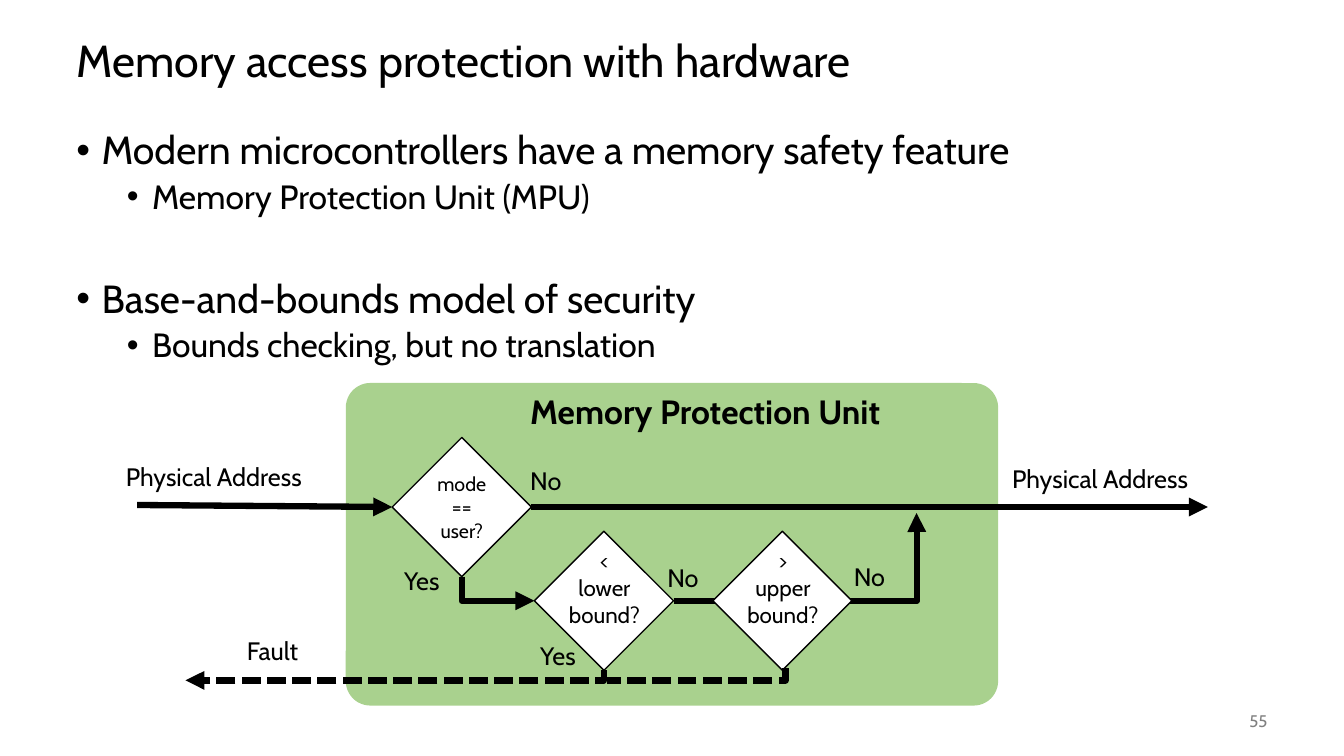
from copy import deepcopy
from dataclasses import dataclass

from lxml import etree
from pptx import Presentation
from pptx import util as u
from pptx.dml.color import RGBColor
from pptx.enum import dml, shapes, text
from pptx.oxml.ns import qn

PX = u.Inches(1) // 100


@dataclass(frozen=True)
class Theme:
    font: str = "Cabin"
    ink: str = "000000"
    muted: str = "808080"
    paper: str = "FFFFFF"
    unit: str = "A9D18E"
    title: int = 32
    point: int = 28
    heading: int = 24
    label: int = 18
    bound: int = 16
    mode: int = 14
    number: int = 12
    outline: int = 1
    flow: float = 4.5


THEME = Theme()


def px(*lengths):
    return [n * PX for n in lengths]


def set_all(target, values):
    for name, value in values.items():
        setattr(target, name, value)


def write(paragraph, words, size, color=THEME.ink, bold=False, **layout):
    """Fill a paragraph; line breaks take the format of its runs."""
    paragraph.text = words
    set_all(paragraph, layout)
    for run in paragraph.runs:
        set_all(run.font, {"name": THEME.font, "size": u.Pt(size), "bold": bold})
        run.font.color.rgb = RGBColor.from_string(color)
    for line_break in paragraph._p.findall(qn("a:br")):
        line_break.append(deepcopy(paragraph.runs[0]._r.rPr))


def text_box(slide, box, anchor=text.MSO_ANCHOR.TOP, grow=False):
    frame = slide.shapes.add_textbox(*px(*box)).text_frame
    fit = text.MSO_AUTO_SIZE.SHAPE_TO_FIT_TEXT if grow else text.MSO_AUTO_SIZE.NONE
    set_all(frame, {"word_wrap": True, "vertical_anchor": anchor, "auto_size": fit})
    return frame


def label(slide, words, box, size=THEME.label, **format_values):
    write(text_box(slide, box, grow=True).paragraphs[0], words, size, **format_values)


def filled_shape(slide, kind, box, fill):
    shape = slide.shapes.add_shape(kind, *px(*box))
    shape.shadow.inherit = False
    shape.fill.solid()
    shape.fill.fore_color.rgb = RGBColor.from_string(fill)
    shape.line.fill.background()
    return shape


def decision(slide, x, y, side=138):
    diamond = filled_shape(slide, shapes.MSO_SHAPE.DIAMOND, (x, y, side, side), THEME.paper)
    diamond.line.color.rgb = RGBColor.from_string(THEME.ink)
    diamond.line.width = u.Pt(THEME.outline)
    return diamond


def flow(slide, start, end, bend=None, dashed=False, arrow=True):
    """Draw a flow line; bend is where an elbow turns, in 1/100000 of its width."""
    kind = shapes.MSO_CONNECTOR.STRAIGHT if bend is None else shapes.MSO_CONNECTOR.ELBOW
    line = slide.shapes.add_connector(kind, *px(*start, *end))
    line.line.color.rgb = RGBColor.from_string(THEME.ink)
    line.line.width = u.Pt(THEME.flow)
    if dashed:
        line.line.dash_style = dml.MSO_LINE.SQUARE_DOT
    properties = line._element.spPr
    if arrow:
        etree.SubElement(properties.find(qn("a:ln")), qn("a:tailEnd"), type="triangle")
    if bend is not None:
        adjustments = properties.find(qn("a:prstGeom")).find(qn("a:avLst"))
        etree.SubElement(adjustments, qn("a:gd"), name="adj1", fmla=f"val {bend}")
    etree.SubElement(properties, qn("a:effectLst"))
    return line


def title(slide, box):
    write(text_box(slide, box, text.MSO_ANCHOR.MIDDLE).paragraphs[0],
          "Memory access protection with hardware", THEME.title, line_spacing=0.9)


def bullets(slide, box):
    points = [
        (0, "Modern microcontrollers have a memory safety feature", 0),
        (1, "Memory Protection Unit (MPU)", 5),
        (0, "Base-and-bounds model of security", 45),
        (1, "Bounds checking, but no translation", 5),
    ]
    frame = text_box(slide, box)
    for index, (level, words, gap) in enumerate(points):
        paragraph = frame.add_paragraph() if index else frame.paragraphs[0]
        write(paragraph, words, THEME.heading if level else THEME.point,
              level=level, line_spacing=0.9, space_before=u.Pt(gap))
        properties = paragraph._p.get_or_add_pPr()
        properties.set("marL", str((25 + 50 * level) * PX))
        properties.set("indent", str(-25 * PX))
        etree.SubElement(properties, qn("a:buFont"), typeface="Arial")
        etree.SubElement(properties, qn("a:buChar"), char="•")


def protection_diagram(slide, left, top):
    """Place the address flow through the protection unit from its top left corner."""
    def at(x, y, *size):
        return (left + x, top + y, *size)

    unit = filled_shape(slide, shapes.MSO_SHAPE.ROUNDED_RECTANGLE,
                        at(228, 0, 647, 320), THEME.unit)
    unit.adjustments[0] = 0.076

    mode = decision(slide, *at(274, 54))
    mode.text_frame.vertical_anchor = text.MSO_ANCHOR.MIDDLE
    write(mode.text_frame.paragraphs[0], "mode == user?", THEME.mode,
          alignment=text.PP_ALIGN.CENTER)

    flow(slide, at(21, 121), at(274, 123)).end_connect(mode, 1)
    flow(slide, at(412, 123), at(1083, 123)).begin_connect(mode, 3)
    flow(slide, at(343, 192), at(415, 216), bend=0)
    flow(slide, at(553, 216), at(794, 129), bend=100100)

    for x, y, words in [(415, 147, "<\nlower\nbound?"), (592, 147, ">\nupper\nbound?")]:
        decision(slide, *at(x, y))
        label(slide, words, at(x + 14, y + 11, 111, 91), THEME.bound,
              alignment=text.PP_ALIGN.CENTER)

    flow(slide, at(484, 285), at(69, 295), bend=0, dashed=True)
    flow(slide, at(664, 283), at(487, 295), bend=0, dashed=True, arrow=False)

    label(slide, "Memory Protection Unit", at(401, 3, 474, 50), THEME.heading, bold=True)
    for words, x, y, width in [
        ("Physical Address", 0, 73, 204),
        ("Physical Address", 879, 75, 204),
        ("Yes", 276, 176, 67),
        ("No", 401, 77, 67),
        ("No", 537, 173, 67),
        ("Yes", 411, 250, 67),
        ("Fault", 120, 245, 105),
        ("No", 722, 172, 67),
    ]:
        label(slide, words, at(x, y, width, 40))


def slide_number(slide, box):
    write(text_box(slide, box, text.MSO_ANCHOR.MIDDLE).paragraphs[0], "55",
          THEME.number, THEME.muted, alignment=text.PP_ALIGN.RIGHT)


def main():
    deck = Presentation()
    deck.slide_width, deck.slide_height = px(1333, 750)
    slide = deck.slides.add_slide(deck.slide_layouts[6])
    title(slide, (66, 25, 1200, 75))
    bullets(slide, (66, 125, 1200, 550))
    slide_number(slide, (1167, 695, 100, 40))
    protection_diagram(slide, 115, 380)
    deck.save("out.pptx")


if __name__ == "__main__":
    main()
